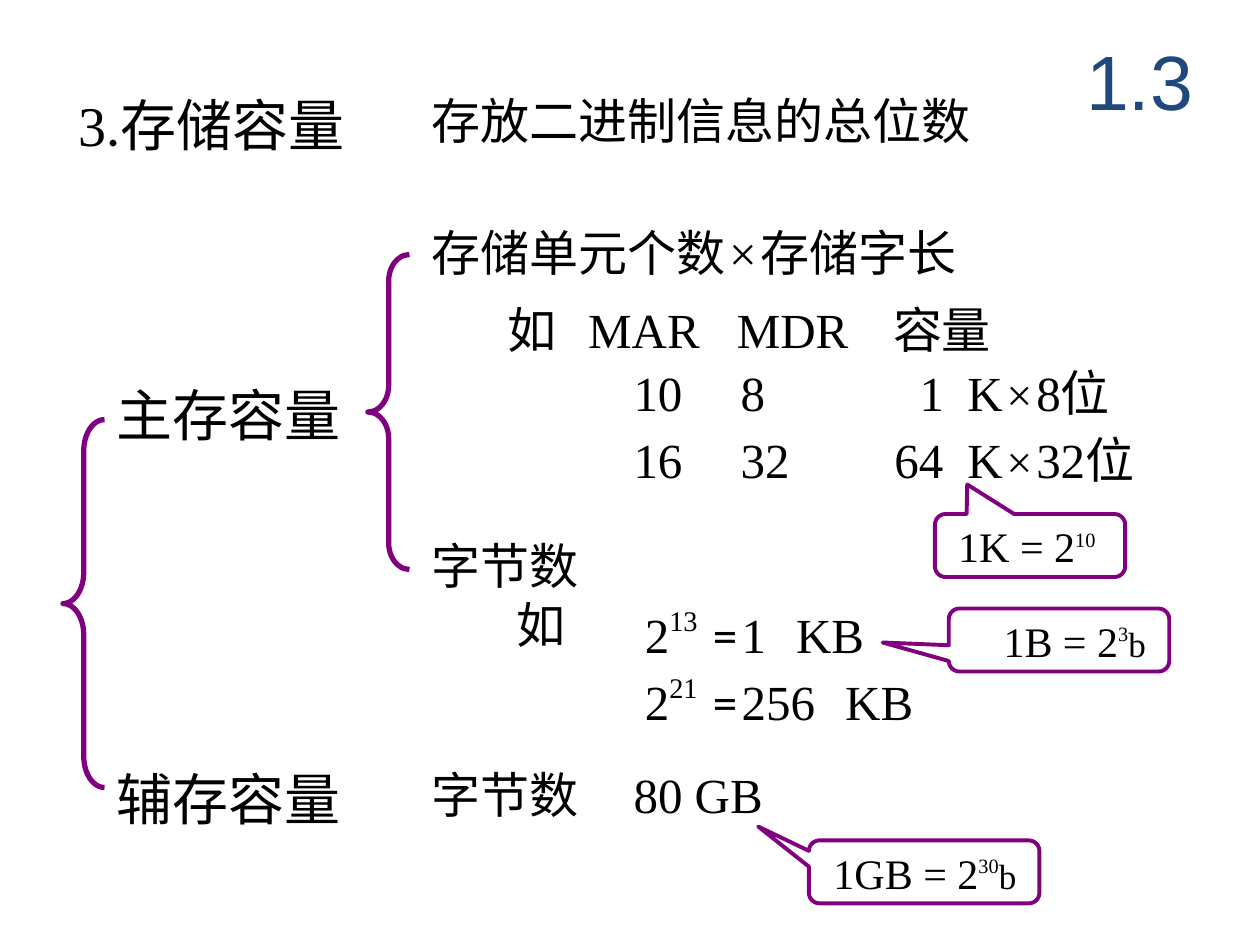
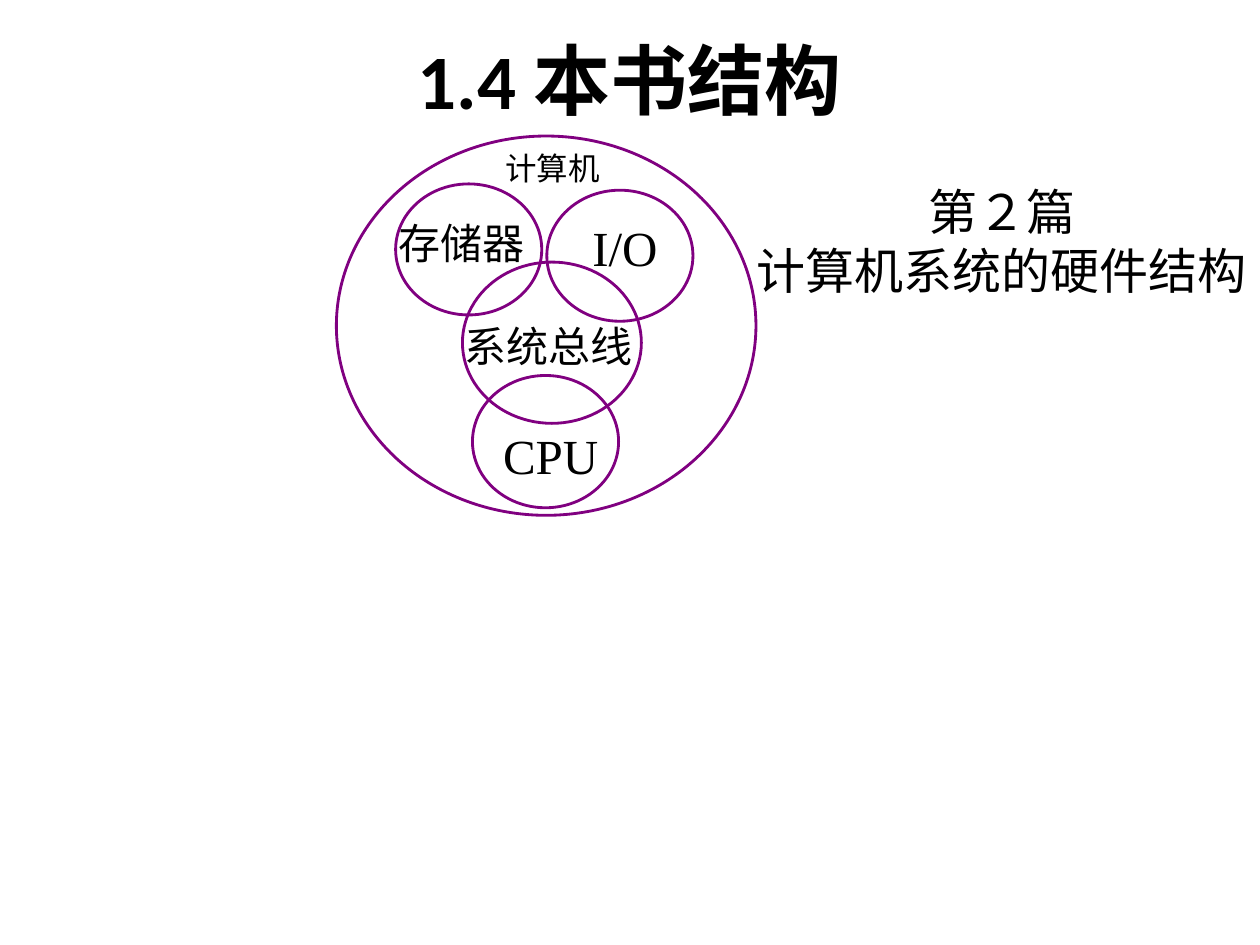
from dataclasses import dataclass

from lxml import etree
from pptx import Presentation
from pptx.dml.color import RGBColor
from pptx.enum.shapes import MSO_SHAPE
from pptx.enum.text import MSO_ANCHOR, MSO_AUTO_SIZE, PP_ALIGN
from pptx.oxml.ns import qn
from pptx.util import Inches, Pt

BLACK = RGBColor(0x00, 0x00, 0x00)
PURPLE = RGBColor(0x80, 0x00, 0x80)
NAVY = RGBColor(0x1F, 0x49, 0x7D)

SANS = "Calibri"
SERIF = "Times New Roman"
ARIAL = "Arial"

LEFT, CENTER = PP_ALIGN.LEFT, PP_ALIGN.CENTER
TOP, MIDDLE = MSO_ANCHOR.TOP, MSO_ANCHOR.MIDDLE
NO_FIT = MSO_AUTO_SIZE.NONE
BRACE = MSO_SHAPE.LEFT_BRACE
OVAL = MSO_SHAPE.OVAL
CALLOUT = MSO_SHAPE.ROUNDED_RECTANGULAR_CALLOUT


@dataclass
class Area:
    left: float
    top: float
    width: float
    height: float

    def lengths(self) -> list:
        return [Inches(v) for v in (self.left, self.top, self.width, self.height)]


@dataclass
class Piece:
    text: str
    size: float = 28
    font: str = SERIF
    color: RGBColor = BLACK
    bold: bool = False
    raised: bool = False


@dataclass
class Label:
    area: Area
    lines: list
    tabs: tuple = ()
    align: PP_ALIGN = LEFT
    anchor: MSO_ANCHOR = TOP
    inset: tuple = (0.1, 0.05, 0.1, 0.05)
    wrap: bool = True


@dataclass
class Note:
    area: Area
    tip: tuple
    indent: float
    base: str
    power: str
    unit: str = ""


def add_tabs(para, stops: tuple) -> None:
    tab_list = etree.SubElement(para._p.get_or_add_pPr(), qn("a:tabLst"))
    for stop in stops:
        etree.SubElement(tab_list, qn("a:tab"), pos=str(Inches(stop)), algn="l")


def write(frame, label: Label) -> None:
    """Fill a text frame with the lines of a label."""
    frame.word_wrap = label.wrap
    frame.auto_size = NO_FIT
    frame.vertical_anchor = label.anchor
    (frame.margin_left, frame.margin_top,
     frame.margin_right, frame.margin_bottom) = [Inches(v) for v in label.inset]
    for i, line in enumerate(label.lines):
        para = frame.add_paragraph() if i else frame.paragraphs[0]
        para.alignment = label.align
        if label.tabs:
            add_tabs(para, label.tabs)
        for piece in line:
            run = para.add_run()
            run.text = piece.text
            run.font.size = Pt(piece.size)
            run.font.name = piece.font
            run.font.bold = piece.bold
            run.font.color.rgb = piece.color
            if piece.raised:
                run._r.get_or_add_rPr().set("baseline", "45000")


def add_label(slide, label: Label) -> None:
    write(slide.shapes.add_textbox(*label.area.lengths()).text_frame, label)


def add_title(slide, label: Label) -> None:
    title = slide.shapes.title
    title.left, title.top, title.width, title.height = label.area.lengths()
    write(title.text_frame, label)


def add_outline(slide, kind, area: Area, weight: float, adjust: tuple = ()):
    """Draw an unfilled purple shape."""
    shape = slide.shapes.add_shape(kind, *area.lengths())
    shape.shadow.inherit = False
    shape.fill.background()
    shape.line.color.rgb = PURPLE
    shape.line.width = Pt(weight)
    for i, value in enumerate(adjust):
        shape.adjustments[i] = value
    return shape


def add_note(slide, note: Note) -> None:
    shape = add_outline(slide, CALLOUT, note.area, 2.25, (*note.tip, 0.17))
    line = [Piece(note.base, 24), Piece(note.power, 20, raised=True)]
    if note.unit:
        line.append(Piece(note.unit, 20))
    write(shape.text_frame, Label(note.area, [line], inset=(note.indent, 0.03, 0, 0.03)))


def han(text: str, size: float = 28) -> Piece:
    return Piece(text, size, SANS)


def product(count: str, bits: str) -> list:
    """Capacity such as 64 K × 32 bits."""
    return [Piece(count + "\t"), Piece("K"), Piece(" ", 9), Piece("×", 26),
            Piece(" ", 9), Piece(bits + "位")]


def power(exponent: str, count: str) -> list:
    """Byte count such as 2^13 = 1 KB."""
    return [Piece("2"), Piece(exponent, raised=True), han("\t="), Piece(" ", 10),
            Piece(count + "\tKB")]


def build_size(deck) -> None:
    slide = deck.slides.add_slide(deck.slide_layouts[5])
    add_title(slide, Label(Area(0.52, 0.67, 3.48, 0.64),
                           [[Piece("3", 32), han(".存储容量", 32)]]))
    add_label(slide, Label(Area(8.42, 0.17, 1.25, 0.92),
                           [[Piece("1.3", 44, ARIAL, NAVY)]], align=CENTER, anchor=MIDDLE))

    # Braces
    add_outline(slide, BRACE, Area(0.5, 3.33, 0.33, 2.92), 3, (0.75, 0.5))
    add_outline(slide, BRACE, Area(2.92, 2.02, 0.33, 2.5), 3, (0.64, 0.5))

    # Kinds of storage
    for top, text in ((2.97, "主存容量"), (6.02, "辅存容量")):
        add_label(slide, Label(Area(0.83, top, 2.67, 0.64), [[han(text, 32)]]))

    # Definitions
    heads = (
        (0.67, [han("存放二进制信息的总位数")]),
        (1.72, [han("存储单元个数"), Piece(" ", 9), Piece("×"), Piece(" ", 9),
                han("存储字长")]),
        (4.2, [han("字节数")]),
        (6.02, [han("字节数\t"), Piece("80 GB")]),
    )
    for top, line in heads:
        add_label(slide, Label(Area(3.33, top, 5.58, 0.57), [line], tabs=(1.6,)))

    # Register widths and capacities
    add_label(slide, Label(Area(3.93, 2.33, 5.74, 0.57),
                           [[han("如\t"), Piece("MAR\tMDR\t"), han("容量")]],
                           tabs=(0.64, 1.82, 3.06)))
    rows = ((2.83, "10", "8", 7.2, "1", 0.38), (3.36, "16", "32", 7, "64", 0.58))
    for top, mar, mdr, left, count, stop in rows:
        add_label(slide, Label(Area(4.93, top, 2, 0.57),
                               [[Piece(f"{mar}\t{mdr}")]], tabs=(0.85,)))
        add_label(slide, Label(Area(left, top, 2.33, 0.57),
                               [product(count, mdr)], tabs=(stop,)))

    # Byte counts
    add_label(slide, Label(Area(4, 4.67, 0.83, 0.57), [[han("如")]]))
    for top, exponent, count, stop in ((4.74, "13", "1", 1.2), (5.27, "21", "256", 1.59)):
        add_label(slide, Label(Area(5.02, top, 2.84, 0.58),
                               [power(exponent, count)], tabs=(0.54, stop)))

    # Unit notes
    notes = (
        Note(Area(7.42, 4.08, 1.51, 0.5), (-0.33, -0.97), 0.16, "1K = 2", "10"),
        Note(Area(7.53, 4.83, 1.75, 0.5), (-0.8, 0.04), 0.41, "1B = 2", "3", "b"),
        Note(Area(6.42, 6.67, 1.83, 0.5), (-0.72, -0.72), 0.17, "1GB = 2", "30", "b"),
    )
    for note in notes:
        add_note(slide, note)


def build_book(deck) -> None:
    slide = deck.slides.add_slide(deck.slide_layouts[5])
    add_title(slide, Label(Area(0.75, 0, 8.5, 1.25),
                           [[Piece("1.4 本书结构", 44, SANS, bold=True)]],
                           align=CENTER, anchor=MIDDLE))
    add_label(slide, Label(Area(5.91, 1.39, 4.08, 1.04),
                           [[han("第２篇")], [han("计算机系统的硬件结构")]],
                           align=CENTER, wrap=False))

    # Computer, bus, memory, I/O and CPU circles
    circles = (
        Area(2.67, 1.08, 3.33, 3.01),
        Area(3.67, 2.08, 1.42, 1.28),
        Area(3.14, 1.46, 1.16, 1.04),
        Area(4.34, 1.51, 1.16, 1.04),
        Area(3.75, 2.98, 1.16, 1.05),
    )
    for area in circles:
        add_outline(slide, OVAL, area, 1.62)

    # Circle names
    names = (
        (Area(4.01, 1.18, 0.75, 0.3), han("计算机", 18)),
        (Area(3.69, 2.54, 1.33, 0.4), han("系统总线", 24)),
        (Area(3.16, 1.73, 1, 0.4), han("存储器", 24)),
        (Area(4.55, 1.73, 0.82, 0.47), Piece("I/O")),
        (Area(3.99, 3.38, 0.76, 0.47), Piece("CPU")),
    )
    for area, piece in names:
        add_label(slide, Label(area, [[piece]], align=CENTER,
                               inset=(0, 0, 0, 0), wrap=False))


def main() -> None:
    deck = Presentation()
    deck.slide_width, deck.slide_height = Inches(10), Inches(7.5)
    build_size(deck)
    build_book(deck)
    deck.save("out.pptx")


if __name__ == "__main__":
    main()
